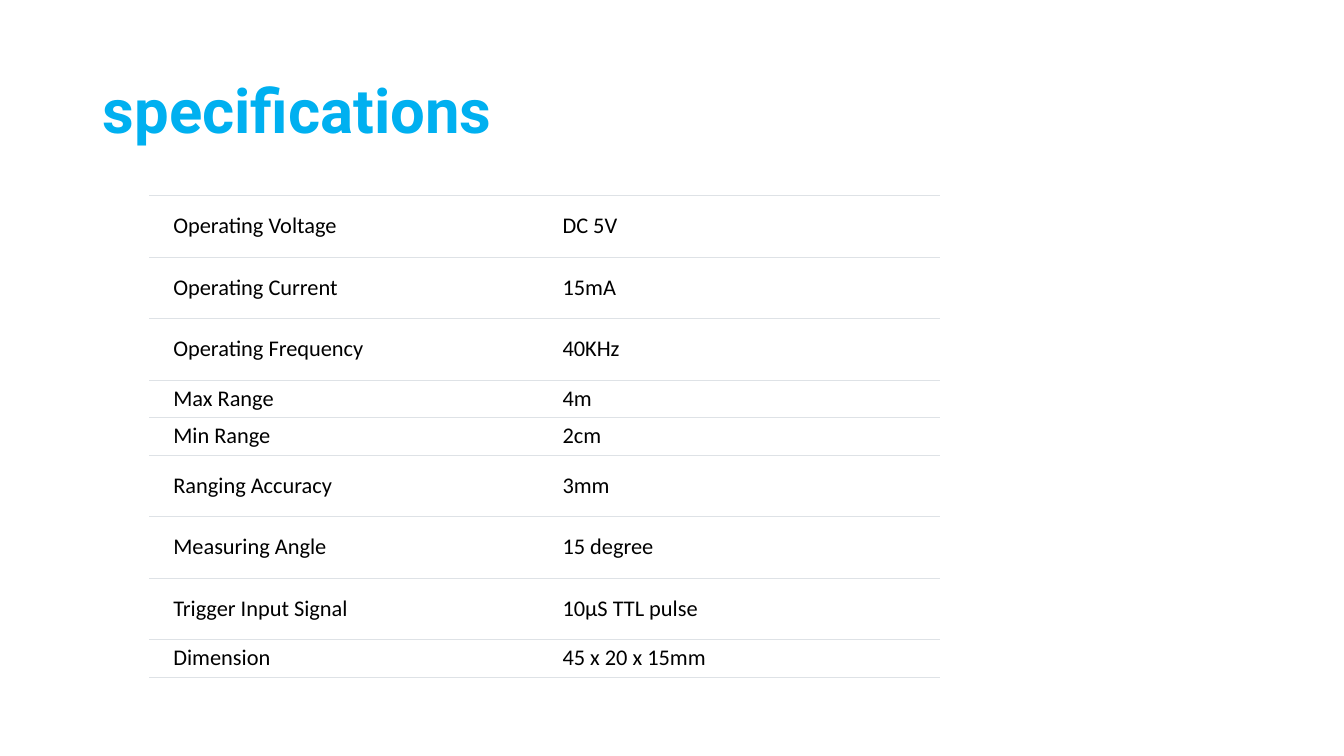
from dataclasses import dataclass

from lxml import etree
from pptx import Presentation
from pptx.dml.color import RGBColor
from pptx.enum.text import MSO_ANCHOR, PP_ALIGN
from pptx.oxml.ns import qn
from pptx.slide import Slide
from pptx.table import _Cell
from pptx.text.text import _Paragraph
from pptx.util import Inches, Pt

LEFT = PP_ALIGN.LEFT
MIDDLE = MSO_ANCHOR.MIDDLE

TITLE_BLUE = RGBColor(0x00, 0xB0, 0xF0)
BLACK = RGBColor(0x00, 0x00, 0x00)
WHITE = RGBColor(0xFF, 0xFF, 0xFF)
RULE_GRAY = RGBColor(0xDE, 0xE2, 0xE6)

TITLE_ONLY_LAYOUT = 5
TALL = 0.61
SHORT = 0.37
COLUMN_WIDTH = 3.92
LEFT_MARGINS = (0.24, 0.18)
RULE_WIDTH = Pt(0.5)


@dataclass(frozen=True)
class Specification:
    name: str
    value: str
    height: float = TALL


SPECIFICATIONS = (
    Specification("Operating Voltage", "DC 5V"),
    Specification("Operating Current", "15mA"),
    Specification("Operating Frequency", "40KHz"),
    Specification("Max Range", "4m", SHORT),
    Specification("Min Range", "2cm", SHORT),
    Specification("Ranging Accuracy", "3mm"),
    Specification("Measuring Angle", "15 degree"),
    Specification("Trigger Input Signal", "10µS TTL pulse"),
    Specification("Dimension", "45 x 20 x 15mm", SHORT),
)


def format_text(paragraph: _Paragraph, font_name: str, size: int,
                color: RGBColor, bold: bool = False) -> None:
    paragraph.alignment = LEFT
    for run in paragraph.runs:
        run.font.name = font_name
        run.font.size = Pt(size)
        run.font.bold = bold
        run.font.color.rgb = color


def set_borders(cell: _Cell) -> None:
    """Rule the cell above and below, with open sides."""
    properties = cell._tc.get_or_add_tcPr()
    for position, side in enumerate(("a:lnL", "a:lnR", "a:lnT", "a:lnB")):
        line = etree.Element(qn(side), w=str(RULE_WIDTH))
        if side in ("a:lnT", "a:lnB"):
            fill = etree.SubElement(line, qn("a:solidFill"))
            etree.SubElement(fill, qn("a:srgbClr"), val=str(RULE_GRAY))
        else:
            etree.SubElement(line, qn("a:noFill"))
        properties.insert(position, line)


def fill_cell(cell: _Cell, text: str, left_margin: float) -> None:
    cell.text_frame.text = text
    format_text(cell.text_frame.paragraphs[0], "Calibri", 16, BLACK)
    cell.vertical_anchor = MIDDLE
    cell.margin_left = Inches(left_margin)
    cell.margin_right = cell.margin_top = cell.margin_bottom = Inches(0.05)
    cell.fill.solid()
    cell.fill.fore_color.rgb = WHITE
    set_borders(cell)


def add_title(slide: Slide, text: str) -> None:
    title = slide.shapes.title
    title.left, title.top = Inches(0.92), Inches(0.4)
    title.width, title.height = Inches(11.5), Inches(1.45)
    title.text_frame.text = text
    title.text_frame.vertical_anchor = MIDDLE
    paragraph = title.text_frame.paragraphs[0]
    paragraph.line_spacing = 0.9
    format_text(paragraph, "Roboto", 44, TITLE_BLUE, bold=True)


def add_specification_table(slide: Slide) -> None:
    height = sum(specification.height for specification in SPECIFICATIONS)
    table = slide.shapes.add_table(
        len(SPECIFICATIONS), len(LEFT_MARGINS), Inches(1.48), Inches(1.94),
        Inches(COLUMN_WIDTH * len(LEFT_MARGINS)), Inches(height)).table
    table.first_row = False
    table.horz_banding = False
    for column in table.columns:
        column.width = Inches(COLUMN_WIDTH)
    for row, specification in zip(table.rows, SPECIFICATIONS):
        row.height = Inches(specification.height)
        texts = (specification.name, specification.value)
        for cell, text, margin in zip(row.cells, texts, LEFT_MARGINS):
            fill_cell(cell, text, margin)


def main() -> None:
    presentation = Presentation()
    presentation.slide_width = Inches(13.33)
    presentation.slide_height = Inches(7.5)
    layout = presentation.slide_layouts[TITLE_ONLY_LAYOUT]
    slide = presentation.slides.add_slide(layout)

    # Heading
    add_title(slide, "specifications")

    # Sensor data
    add_specification_table(slide)

    presentation.save("out.pptx")


if __name__ == "__main__":
    main()
